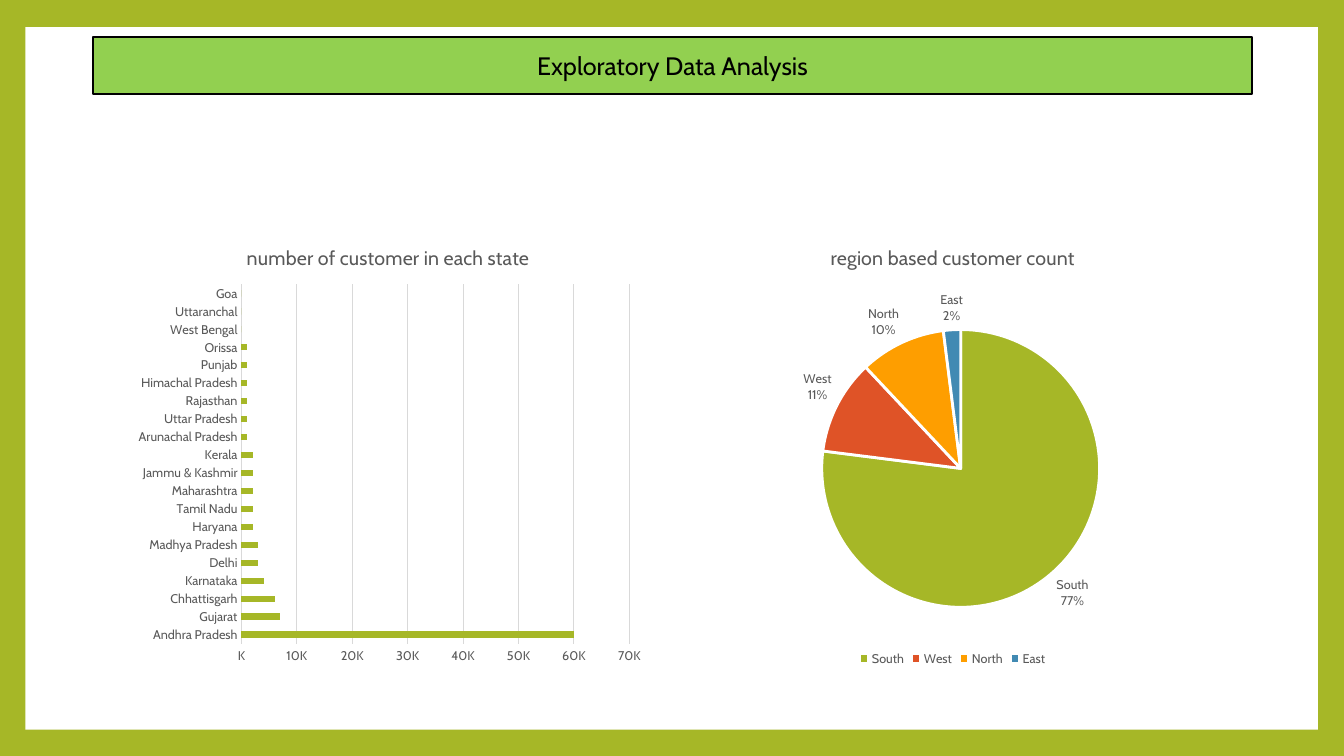
from dataclasses import dataclass

from lxml.etree import SubElement
from pptx import Presentation
from pptx.chart.chart import Chart
from pptx.chart.data import CategoryChartData
from pptx.dml.color import RGBColor
from pptx.enum.chart import XL_CHART_TYPE as ChartType
from pptx.enum.chart import XL_LABEL_POSITION as LabelPosition
from pptx.enum.chart import XL_LEGEND_POSITION as LegendPosition
from pptx.enum.chart import XL_TICK_MARK as TickMark
from pptx.enum.shapes import MSO_SHAPE as ShapeKind
from pptx.enum.text import MSO_ANCHOR as Anchor
from pptx.enum.text import MSO_AUTO_SIZE as AutoSize
from pptx.enum.text import PP_ALIGN as Align
from pptx.oxml import parse_xml
from pptx.oxml.ns import nsdecls, qn
from pptx.slide import Slide
from pptx.text.text import Font
from pptx.util import Inches, Pt

SLIDE_WIDTH, SLIDE_HEIGHT = Inches(13.33), Inches(7.5)


@dataclass(frozen=True)
class Theme:
    font: str = "Cabin"
    black: str = "000000"
    white: str = "FFFFFF"
    grey: str = "595959"
    grid: str = "D9D9D9"
    banner: str = "92D050"
    accents: tuple[str, ...] = ("A6B727", "DF5327", "FE9E00", "418AB3")
    heading_size: int = 18
    chart_title_size: int = 14
    chart_size: int = 10
    label_size: int = 9


THEME = Theme()


@dataclass(frozen=True)
class Box:
    """Place and size in percent of the slide's width and height."""
    left: float
    top: float
    width: float
    height: float

    def lengths(self) -> tuple[int, int, int, int]:
        return (int(SLIDE_WIDTH * self.left / 100), int(SLIDE_HEIGHT * self.top / 100),
                int(SLIDE_WIDTH * self.width / 100), int(SLIDE_HEIGHT * self.height / 100))


@dataclass(frozen=True)
class ChartPanel:
    """A chart in one column; plot_area holds x, y, w, h as shares of the chart."""
    column: int
    kind: ChartType
    title: str
    values: dict[str, int]
    plot_area: tuple[float, float, float, float]


PANEL = Box(1.88, 3.6, 96.17, 92.93)
BANNER = Box(6.9, 4.93, 86.27, 7.47)
FIRST_CHART = Box(9.38, 30, 39.01, 58.67)
COLUMN_PITCH = 42.01

STATES = ChartPanel(0, ChartType.BAR_CLUSTERED, "number of customer in each state", {
    "Andhra Pradesh": 60000, "Gujarat": 7000, "Chhattisgarh": 6000, "Karnataka": 4000,
    "Delhi": 3000, "Madhya Pradesh": 3000, "Haryana": 2000, "Tamil Nadu": 2000,
    "Maharashtra": 2000, "Jammu & Kashmir": 2000, "Kerala": 2000,
    "Arunachal Pradesh": 1000, "Uttar Pradesh": 1000, "Rajasthan": 1000,
    "Himachal Pradesh": 1000, "Punjab": 1000, "Orissa": 1000,
    "West Bengal": 0, "Uttaranchal": 0, "Goa": 0,
}, (0.22, 0.13, 0.74, 0.81))
REGIONS = ChartPanel(1, ChartType.PIE, "region based customer count",
                     {"South": 77, "West": 11, "North": 10, "East": 2},
                     (0.25, 0.23, 0.53, 0.63))


def rgb(color: str) -> RGBColor:
    return RGBColor.from_string(color)


def style_font(font: Font, size: int, color: str) -> None:
    font.name, font.size, font.bold = THEME.font, Pt(size), False
    font.color.rgb = rgb(color)


def paint(item, color: str) -> None:
    item.fill.solid()
    item.fill.fore_color.rgb = rgb(color)


def draw_line(line, color: str, width: float) -> None:
    line.color.rgb = rgb(color)
    line.width = Pt(width)


def add_white_panel(slide: Slide) -> None:
    panel = slide.shapes.add_shape(ShapeKind.RECTANGLE, *PANEL.lengths())
    panel.shadow.inherit = False
    paint(panel, THEME.white)
    panel.line.fill.background()


def add_banner(slide: Slide, text: str) -> None:
    """Turn the title placeholder into a rounded banner in front of the panel."""
    title = slide.shapes.title
    title.left, title.top, title.width, title.height = BANNER.lengths()
    geometry = SubElement(title.element.spPr, qn("a:prstGeom"), prst="roundRect")
    SubElement(geometry, qn("a:avLst"))
    paint(title, THEME.banner)
    draw_line(title.line, THEME.black, 1.5)
    frame = title.text_frame
    frame.auto_size = AutoSize.NONE
    frame.word_wrap = True
    frame.vertical_anchor = Anchor.MIDDLE
    paragraph = frame.paragraphs[0]
    paragraph.alignment = Align.CENTER
    run = paragraph.add_run()
    run.text = text
    style_font(run.font, THEME.heading_size, THEME.black)
    title.element.getparent().append(title.element)


def set_plot_area(chart: Chart, shares: tuple[float, float, float, float]) -> None:
    plot_area = chart.element.xpath(".//c:plotArea")[0]
    for layout in plot_area.findall(qn("c:layout")):
        plot_area.remove(layout)
    sizes = "".join(f'<c:{name} val="{share}"/>' for name, share in zip("xywh", shares))
    plot_area.insert(0, parse_xml(
        f'<c:layout {nsdecls("c")}><c:manualLayout><c:layoutTarget val="inner"/>'
        f'<c:xMode val="edge"/><c:yMode val="edge"/>{sizes}</c:manualLayout></c:layout>'))


def add_chart_panel(slide: Slide, panel: ChartPanel) -> Chart:
    data = CategoryChartData()
    data.categories = list(panel.values)
    data.add_series("Series 1", list(panel.values.values()))
    box = Box(FIRST_CHART.left + panel.column * COLUMN_PITCH, FIRST_CHART.top,
              FIRST_CHART.width, FIRST_CHART.height)
    chart = slide.shapes.add_chart(panel.kind, *box.lengths(), data).chart
    style_font(chart.font, THEME.chart_size, THEME.black)
    chart.has_title = True
    run = chart.chart_title.text_frame.paragraphs[0].add_run()
    run.text = panel.title
    style_font(run.font, THEME.chart_title_size, THEME.grey)
    chart.chart_title.include_in_layout = False
    chart.has_legend = False
    set_plot_area(chart, panel.plot_area)
    return chart


def style_bars(chart: Chart) -> None:
    plot = chart.plots[0]
    plot.gap_width = 182
    plot.vary_by_categories = False
    paint(plot.series[0].format, THEME.accents[0])
    for axis in (chart.category_axis, chart.value_axis):
        axis.major_tick_mark = axis.minor_tick_mark = TickMark.NONE
        style_font(axis.tick_labels.font, THEME.label_size, THEME.grey)
    draw_line(chart.category_axis.format.line, THEME.grid, 0.75)
    amounts = chart.value_axis
    amounts.minimum_scale, amounts.maximum_scale, amounts.major_unit = 0, 70000, 10000
    amounts.tick_labels.number_format = '#,"K"'
    amounts.tick_labels.number_format_is_linked = False
    amounts.format.line.fill.background()
    amounts.has_major_gridlines = True
    draw_line(amounts.major_gridlines.format.line, THEME.grid, 0.75)


def style_pie(chart: Chart) -> None:
    plot = chart.plots[0]
    plot.vary_by_categories = True
    series = plot.series[0]
    for index, color in enumerate(THEME.accents):
        slice_format = series.points[index].format
        paint(slice_format, color)
        draw_line(slice_format.line, THEME.white, 2)
    labels = series.data_labels
    labels.show_value = False
    labels.show_category_name = labels.show_percentage = True
    labels.number_format, labels.number_format_is_linked = "0%", False
    labels.position = LabelPosition.OUTSIDE_END
    style_font(labels.font, THEME.label_size, THEME.grey)
    separator = parse_xml(f'<c:separator {nsdecls("c")}>\n</c:separator>')
    chart.element.xpath(".//c:ser/c:dLbls/c:showBubbleSize")[0].addnext(separator)
    chart.has_legend = True
    chart.legend.position = LegendPosition.BOTTOM
    chart.legend.include_in_layout = False
    style_font(chart.legend.font, THEME.label_size, THEME.grey)


def main() -> None:
    presentation = Presentation()
    presentation.slide_width, presentation.slide_height = SLIDE_WIDTH, SLIDE_HEIGHT
    slide = presentation.slides.add_slide(presentation.slide_layouts.get_by_name("Title Only"))
    paint(slide.background, THEME.accents[0])
    add_white_panel(slide)
    style_bars(add_chart_panel(slide, STATES))
    style_pie(add_chart_panel(slide, REGIONS))
    add_banner(slide, "Exploratory Data Analysis")
    presentation.save("out.pptx")


if __name__ == "__main__":
    main()
